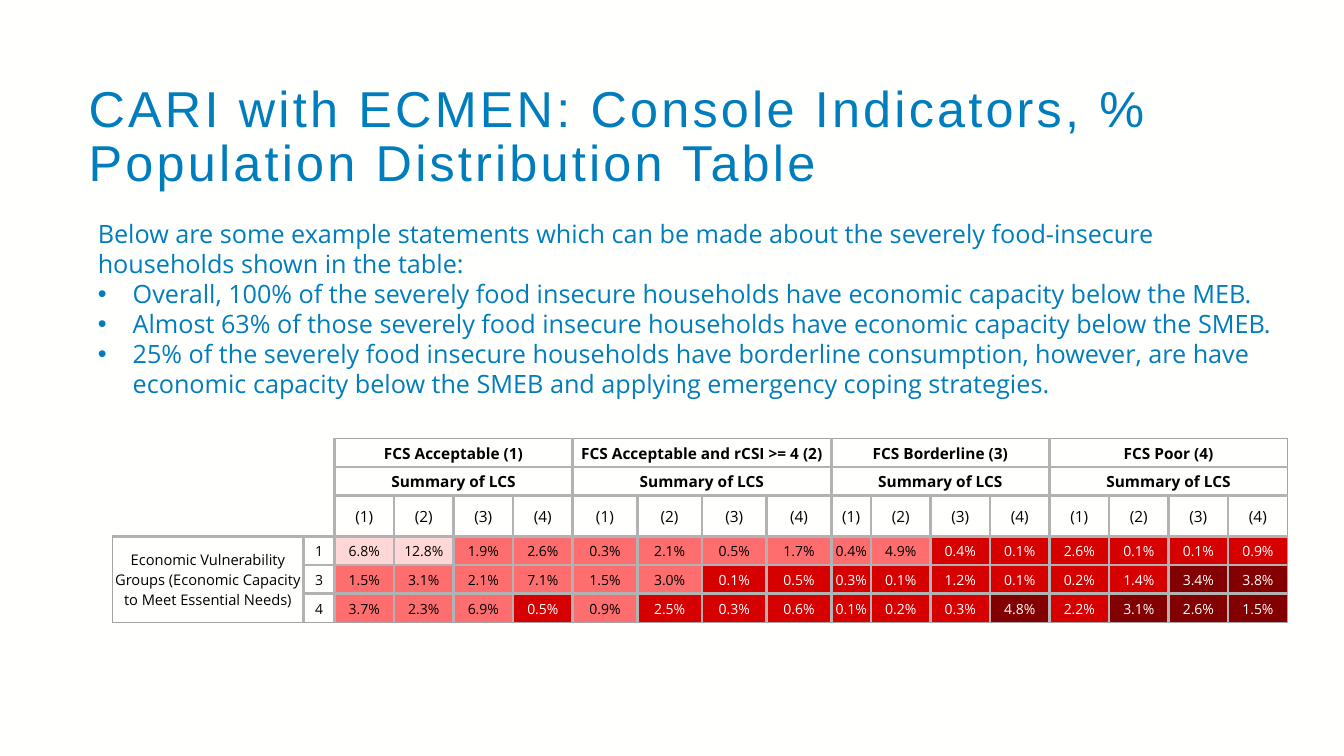
from lxml import etree
from pptx import Presentation
from pptx import util as u
from pptx.dml.color import RGBColor
from pptx.enum import text
from pptx.oxml import ns

COLOURS = {
    "background": "FFFFFE", "blue": "007DBC", "black": "000000", "white": "FFFFFF",
    "grid": "B2B2B2", "edge": "A5A5A5",
}
# Severity level: cell fill and text colour
SEVERITY = {
    "1": ("FFD7D7", "black"), "2": ("FF6E6E", "black"),
    "3": ("D70000", "white"), "4": ("820000", "white"),
}
TITLE = "CARI with ECMEN: Console Indicators, % Population Distribution Table"
INTRO = ("Below are some example statements which can be made about the severely "
         "food-insecure households shown in the table:")
STATEMENTS = [
    "Overall, 100% of the severely food insecure households have economic capacity below the MEB.",
    "Almost 63% of those severely food insecure households have economic capacity below the SMEB.",
    "25% of the severely food insecure households have borderline consumption, however, are have "
    "economic capacity below the SMEB and applying emergency coping strategies.",
]
FCS_GROUPS = ["FCS Acceptable (1)", "FCS Acceptable and rCSI >= 4 (2)",
              "FCS Borderline (3)", "FCS Poor (4)"]
VULNERABILITY = "Economic Vulnerability Groups (Economic Capacity to Meet Essential Needs)"
# Vulnerability group, shares in percent, severity of each share
DISTRIBUTION = [
    ("1", "6.8 12.8 1.9 2.6 0.3 2.1 0.5 1.7 0.4 4.9 0.4 0.1 2.6 0.1 0.1 0.9", "1122222222333333"),
    ("3", "1.5 3.1 2.1 7.1 1.5 3.0 0.1 0.5 0.3 0.1 1.2 0.1 0.2 1.4 3.4 3.8", "2222223333333344"),
    ("4", "3.7 2.3 6.9 0.5 0.9 2.5 0.3 0.6 0.1 0.2 0.3 4.8 2.2 3.1 2.6 1.5", "2223233333343444"),
]
LCS_LEVELS = 4
HEADER_ROWS, LABEL_COLUMNS = 3, 2
COLUMN_WIDTHS = [4.82, 0.78] + [1.5] * 4 + [1.63] * 4 + [1] + [1.5] * 7
ROW_HEIGHT = 0.72


def rgb(name):
    return RGBColor.from_string(COLOURS.get(name, name))


def apply(target, values):
    for attribute, value in values.items():
        setattr(target, attribute, value)


def style_font(font, colour, **values):
    apply(font, values)
    font.color.rgb = rgb(colour)


def place(placeholder, left, top, width, height):
    apply(placeholder, {"left": u.Cm(left), "top": u.Cm(top),
                        "width": u.Cm(width), "height": u.Cm(height)})
    apply(placeholder.text_frame, {"word_wrap": True, "auto_size": text.MSO_AUTO_SIZE.NONE,
                                   "vertical_anchor": text.MSO_ANCHOR.TOP})
    return placeholder.text_frame


def write_title(title):
    paragraph = place(title, 1.98, 1.98, 30.7, 1.83).paragraphs[0]
    apply(paragraph, {"alignment": text.PP_ALIGN.LEFT, "line_spacing": 0.9})
    run = paragraph.add_run()
    run.text = TITLE
    style_font(run.font, "blue", name="Arial", size=u.Pt(36))
    run.font._element.set("spc", "230")


def set_bullet(paragraph, char, hanging):
    """Give a hanging bullet, or none when char is empty."""
    properties = paragraph._p.get_or_add_pPr()
    properties.set("marL", str(hanging))
    properties.set("indent", str(-hanging))
    if char:
        etree.SubElement(properties, ns.qn("a:buChar")).set("char", char)
    else:
        etree.SubElement(properties, ns.qn("a:buNone"))


def write_statements(body):
    frame = place(body, 2.21, 5.38, 30.25, 4.88)
    for index, statement in enumerate([INTRO] + STATEMENTS):
        paragraph = frame.add_paragraph() if index else frame.paragraphs[0]
        apply(paragraph, {"text": statement, "space_before": u.Pt(0),
                          "line_spacing": u.Pt(21.5)})
        set_bullet(paragraph, "•" if index else "", u.Cm(0.88) if index else 0)
        style_font(paragraph.runs[0].font, "blue", name="Open Sans", size=u.Pt(18))


def write_cell(cell, words, size, colour="black", bold=False):
    apply(cell, {"vertical_anchor": text.MSO_ANCHOR.MIDDLE, "margin_left": u.Cm(0.03),
                 "margin_right": u.Cm(0.03), "margin_top": u.Cm(0.03), "margin_bottom": 0})
    paragraph = cell.text_frame.paragraphs[0]
    apply(paragraph, {"text": words, "alignment": text.PP_ALIGN.CENTER})
    style_font(paragraph.runs[0].font, colour, name="Open Sans", size=u.Pt(size), bold=bold)


def set_borders(cell, borders):
    """Draw the sides L, R, T, B that are given as thick (grid) or thin (edge) lines."""
    properties = cell._tc.get_or_add_tcPr()
    for position, (side, kind) in enumerate(borders.items()):
        width = u.Pt(2.25 if kind == "grid" else 0.5)
        line = etree.Element(ns.qn(f"a:ln{side}"), w=str(int(width)))
        fill = etree.SubElement(line, ns.qn("a:solidFill"))
        etree.SubElement(fill, ns.qn("a:srgbClr")).set("val", COLOURS[kind])
        properties.insert(position, line)


def draw_grid(table):
    """Thin lines on the outline, thick lines inside, none around the empty corner."""
    row_count, column_count = len(table.rows), len(table.columns)
    for row in range(row_count):
        for column in range(column_count):
            cell = table.cell(row, column)
            borders = {
                "L": "grid" if column else "edge",
                "R": "edge" if column + cell.span_width == column_count else "grid",
                "T": "grid" if row else "edge",
                "B": "edge" if row + cell.span_height == row_count else "grid",
            }
            if row < HEADER_ROWS and column < LABEL_COLUMNS:
                del borders["L"], borders["T"]
            set_borders(cell, borders)


def write_headers(table):
    table.cell(0, 0).merge(table.cell(HEADER_ROWS - 1, LABEL_COLUMNS - 1))
    for index, group in enumerate(FCS_GROUPS):
        first = LABEL_COLUMNS + index * LCS_LEVELS
        for row, words in enumerate([group, "Summary of LCS"]):
            table.cell(row, first).merge(table.cell(row, first + LCS_LEVELS - 1))
            write_cell(table.cell(row, first), words, 11, bold=True)
        for level in range(LCS_LEVELS):
            write_cell(table.cell(2, first + level), f"({level + 1})", 11)


def write_distribution(table):
    vulnerability = table.cell(HEADER_ROWS, 0)
    vulnerability.merge(table.cell(len(table.rows) - 1, 0))
    write_cell(vulnerability, VULNERABILITY, 10.5)
    for row, (group, shares, levels) in enumerate(DISTRIBUTION, HEADER_ROWS):
        write_cell(table.cell(row, 1), group, 10)
        for column, (share, level) in enumerate(zip(shares.split(), levels), LABEL_COLUMNS):
            fill, colour = SEVERITY[level]
            cell = table.cell(row, column)
            write_cell(cell, f"{share}%", 10, colour)
            cell.fill.solid()
            cell.fill.fore_color.rgb = rgb(fill)


def add_distribution_table(slide):
    row_count = HEADER_ROWS + len(DISTRIBUTION)
    table = slide.shapes.add_table(
        row_count, len(COLUMN_WIDTHS), u.Cm(2.83), u.Cm(11.05),
        u.Cm(sum(COLUMN_WIDTHS)), u.Cm(ROW_HEIGHT * row_count)).table
    apply(table, {"first_row": False, "horz_banding": False})
    for column, width in zip(table.columns, COLUMN_WIDTHS):
        column.width = u.Cm(width)
    for row in table.rows:
        row.height = u.Cm(ROW_HEIGHT)
    for cell in table.iter_cells():
        cell.fill.background()
    write_headers(table)
    write_distribution(table)
    draw_grid(table)


def main():
    deck = Presentation()
    apply(deck, {"slide_width": u.Cm(33.87), "slide_height": u.Cm(19.05)})
    slide = deck.slides.add_slide(deck.slide_layouts[1])
    slide.background.fill.solid()
    slide.background.fill.fore_color.rgb = rgb("background")
    write_title(slide.shapes.title)
    write_statements(slide.placeholders[1])
    add_distribution_table(slide)
    deck.save("out.pptx")


if __name__ == "__main__":
    main()
